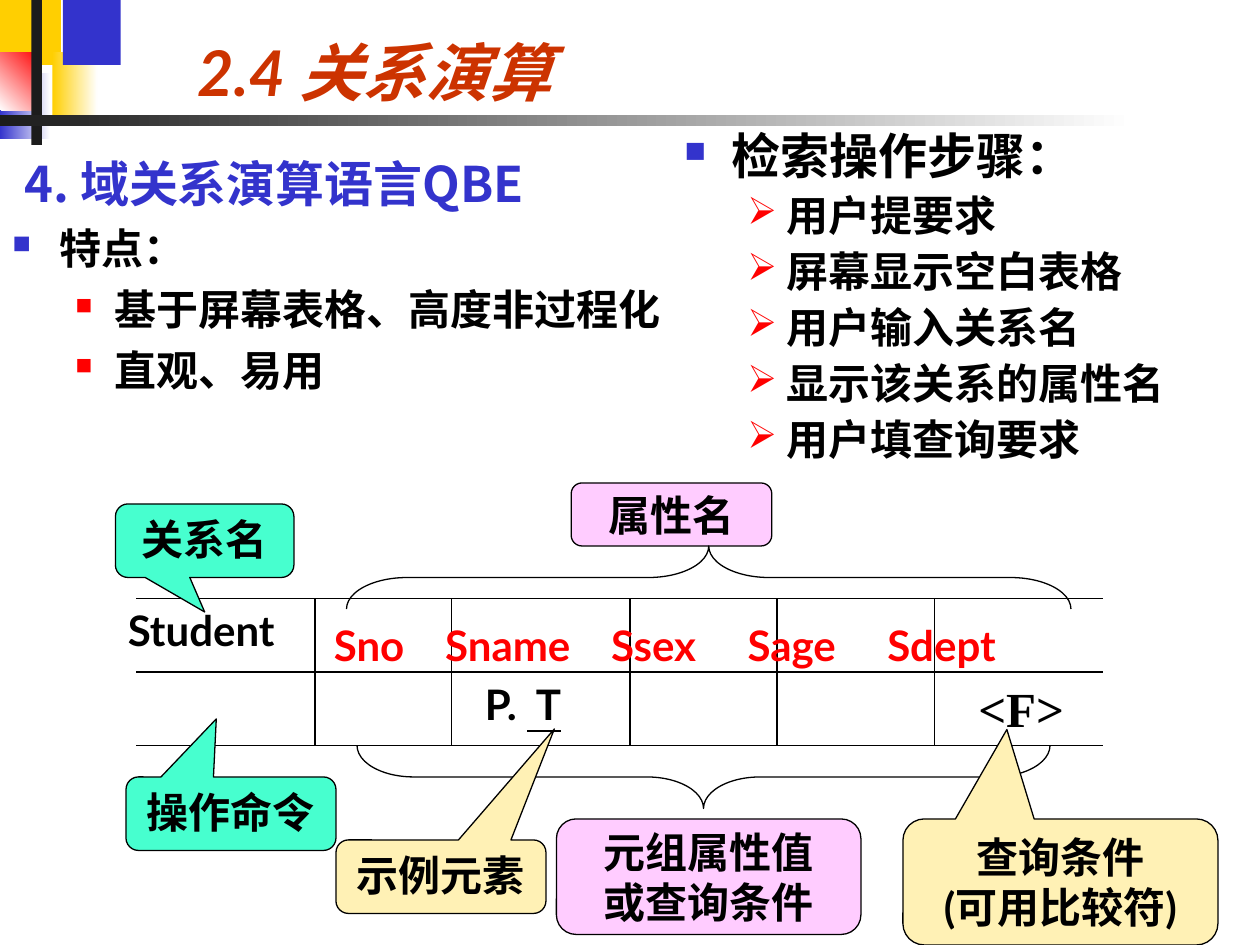
import pptx
import pptx.util
import pptx.dml.color
import pptx.enum.shapes
import pptx.enum.text
import pptx.oxml.ns
import lxml.etree
from dataclasses import dataclass

PX = 914400 // 120
SHAPE = pptx.enum.shapes.MSO_SHAPE
ANCHOR = pptx.enum.text.MSO_ANCHOR
CENTER = pptx.enum.text.PP_ALIGN.CENTER


@dataclass(frozen=True)
class Theme:
    ink: str = "000000"
    bar: str = "1C1C1C"
    white: str = "FFFFFF"
    yellow: str = "FFCF01"
    blue: str = "3333CC"
    red: str = "FF0000"
    heading: str = "CC3300"
    mint: str = "47FFCF"
    pink: str = "FFCCFF"
    cream: str = "FFF1B5"
    latin: str = "Lato"
    cjk: str = "Noto Sans CJK SC"
    serif: str = "Times New Roman"
    title: int = 36
    large: int = 28
    body: int = 24


THEME = Theme()


def px(*lengths):
    return [pptx.util.Emu(length * PX) for length in lengths]


def rgb(color):
    return pptx.dml.color.RGBColor.from_string(color)


def add_child(parent, tag, **attributes):
    return lxml.etree.SubElement(parent, pptx.oxml.ns.qn(tag), attributes)


def add_run(paragraph, words, size=THEME.body, color=THEME.ink, font=THEME.latin,
            italic=None, underline=None):
    run = paragraph.add_run()
    run.text = words
    run.font.size = pptx.util.Pt(size)
    run.font.bold = True
    run.font.italic = italic
    run.font.underline = underline
    run.font.color.rgb = rgb(color)
    run.font.name = font
    add_child(run.font._element, "a:ea", typeface=THEME.cjk)


def add_bullet(paragraph, mark, color, percent, margin, hang):
    properties = paragraph._p.get_or_add_pPr()
    properties.set("marL", str(margin * PX))
    properties.set("indent", str(-hang * PX))
    add_child(add_child(properties, "a:buClr"), "a:srgbClr", val=color)
    add_child(properties, "a:buSzPct", val=str(percent * 1000))
    add_child(properties, "a:buChar", char=mark)


def add_tabs(paragraph, stops):
    tab_list = add_child(paragraph._p.get_or_add_pPr(), "a:tabLst")
    for stop in stops:
        add_child(tab_list, "a:tab", pos=str(stop * PX), algn="l")


def add_text_box(slide, box, anchor=ANCHOR.TOP):
    frame = slide.shapes.add_textbox(*px(*box)).text_frame
    frame.word_wrap = True
    frame.vertical_anchor = anchor
    return frame


def next_paragraph(frame, before=0, spacing=None):
    first = frame.paragraphs[0]
    if not first.runs:
        paragraph = first
    else:
        paragraph = frame.add_paragraph()
        paragraph.space_before = pptx.util.Pt(before)
    if spacing:
        paragraph.line_spacing = spacing
    return paragraph


def add_block(slide, box, start, end=None, angle=0):
    left, top, width, height = box
    block = slide.shapes.add_shape(SHAPE.RECTANGLE, *px(left, top, width, height))
    block.shadow.inherit = False
    block.line.fill.background()
    if end is None:
        block.fill.solid()
        block.fill.fore_color.rgb = rgb(start)
        return
    block.fill.gradient()
    block.fill.gradient_angle = angle
    for stop, color, position in zip(block.fill.gradient_stops, (start, end), (0, 1)):
        stop.color.rgb = rgb(color)
        stop.position = position


def draw_masthead(slide, left, top, width):
    t = THEME
    for x, y, w, h, *fill in (
        (0, 0, 58, 62, t.yellow),
        (50, 50, 43, 62, t.yellow, t.white),
        (60, 0, 55, 62, t.blue),
        (0, 70, 48, 62, t.blue, t.white),
        (0, 50, 40, 55, t.white, t.red, 45),
        (30, 0, 10, 138, t.bar),
        (0, 110, width, 10, t.bar, t.white),
    ):
        add_block(slide, (left + x, top + y, w, h), *fill)
    title = add_text_box(slide, (left + 176, top, 964, 110), ANCHOR.BOTTOM)
    add_run(next_paragraph(title), "2.4 关系演算", t.title, t.heading, italic=True)


def draw_features(slide, box):
    features = add_text_box(slide, box)
    heading = next_paragraph(features)
    add_run(heading, " ", THEME.large)
    add_run(heading, "4. 域关系演算语言QBE", THEME.large, THEME.blue, THEME.cjk)
    topic = next_paragraph(features, 6)
    add_bullet(topic, "■", THEME.blue, 60, 45, 45)
    add_run(topic, "特点：")
    for feature in ("基于屏幕表格、高度非过程化", "直观、易用"):
        point = next_paragraph(features, 6)
        add_bullet(point, "■", THEME.red, 55, 97, 37)
        add_run(point, feature)


def draw_steps(slide, box):
    steps = add_text_box(slide, box)
    topic = next_paragraph(steps, spacing=0.9)
    add_bullet(topic, "■", THEME.blue, 60, 45, 45)
    add_run(topic, "检索操作步骤：", THEME.large)
    for step in ("用户提要求", "屏幕显示空白表格", "用户输入关系名",
                 "显示该关系的属性名", "用户填查询要求"):
        point = next_paragraph(steps, 6, 0.9)
        add_bullet(point, "➢", THEME.red, 90, 97, 37)
        add_run(point, step)


def add_rule(slide, start, end, weight):
    rule = slide.shapes.add_connector(
        pptx.enum.shapes.MSO_CONNECTOR.STRAIGHT, *px(*start, *end))
    rule.line.color.rgb = rgb(THEME.ink)
    rule.line.width = pptx.util.Pt(weight)
    add_child(rule._element.spPr, "a:effectLst")


def draw_query_grid(slide, left, top, width, row):
    for y in (top, top + row, top + 2 * row):
        add_rule(slide, (left, y), (left + width, y), 1)
    for x in (170, 300, 470, 610, 760):
        add_rule(slide, (left + x, top), (left + x, top + 2 * row), 0.75)

    relation = add_text_box(slide, (left - 20, top, 190, 80))
    add_run(next_paragraph(relation), "Student")

    attributes = add_text_box(slide, (left + 160, top + 14, 810, 80))
    attributes.margin_left = px(28)[0]
    names = next_paragraph(attributes)
    add_tabs(names, (106, 264, 394, 527))
    add_run(names, "Sno\tSname\tSsex\tSage\tSdept", color=THEME.red)

    example = next_paragraph(add_text_box(slide, (left + 320, top + row, 140, 60)))
    add_tabs(example, (109,))
    add_run(example, "P. ")
    add_run(example, " T\t", underline=True)

    condition = add_text_box(slide, (left + 790, top + row, 130, 68))
    add_run(next_paragraph(condition), "<F>", THEME.large, font=THEME.serif)


def add_outlined(slide, kind, box, adjustments, fill=None):
    shape = slide.shapes.add_shape(kind, *px(*box))
    shape.shadow.inherit = False
    for index, value in enumerate(adjustments):
        shape.adjustments[index] = value
    shape.line.color.rgb = rgb(THEME.ink)
    shape.line.width = pptx.util.Pt(0.75)
    if fill:
        shape.fill.solid()
        shape.fill.fore_color.rgb = rgb(fill)
    else:
        shape.fill.background()
    return shape


def draw_label(slide, box, fill, lines, pointer=None):
    kind = SHAPE.ROUNDED_RECTANGULAR_CALLOUT if pointer else SHAPE.ROUNDED_RECTANGLE
    label = add_outlined(slide, kind, box, (*(pointer or ()), 0.17), fill).text_frame
    label.word_wrap = bool(pointer)
    label.vertical_anchor = ANCHOR.TOP if pointer else ANCHOR.MIDDLE
    for line in lines:
        paragraph = next_paragraph(label)
        paragraph.alignment = CENTER
        add_run(paragraph, line)


def draw_brace(slide, box, rotation, curve):
    left, top, width, height = box
    upright = (left + (width - height) // 2, top + (height - width) // 2, height, width)
    add_outlined(slide, SHAPE.RIGHT_BRACE, upright, (curve, 0.5)).rotation = rotation


def draw_annotations(slide):
    t = THEME
    draw_label(slide, (110, 480, 170, 70), t.mint, ["关系名"], (0, 0.97))
    draw_label(slide, (120, 740, 200, 70), t.mint, ["操作命令"], (-0.07, -1.29))
    draw_label(slide, (530, 780, 290, 110), t.pink, ["元组属性值", "或查询条件"])
    draw_brace(slide, (340, 710, 660, 60), 90, 0.9)
    draw_label(slide, (544, 460, 191, 60), t.pink, ["属性名"])
    draw_brace(slide, (330, 520, 690, 60), 270, 0.96)
    draw_label(slide, (320, 800, 200, 70), t.cream, ["示例元素"], (0.54, -2.01))
    draw_label(slide, (860, 780, 300, 120), t.cream, ["查询条件", "(可用比较符)"],
               (-0.17, -1.21))


def main():
    deck = pptx.Presentation()
    deck.slide_width, deck.slide_height = px(1200, 900)
    slide = deck.slides.add_slide(deck.slide_layouts[6])
    draw_masthead(slide, 0, 0, 1080)
    draw_features(slide, (0, 140, 650, 276))
    draw_steps(slide, (640, 120, 560, 330))
    draw_query_grid(slide, 130, 570, 920, 70)
    draw_annotations(slide)
    deck.save("out.pptx")


if __name__ == "__main__":
    main()
